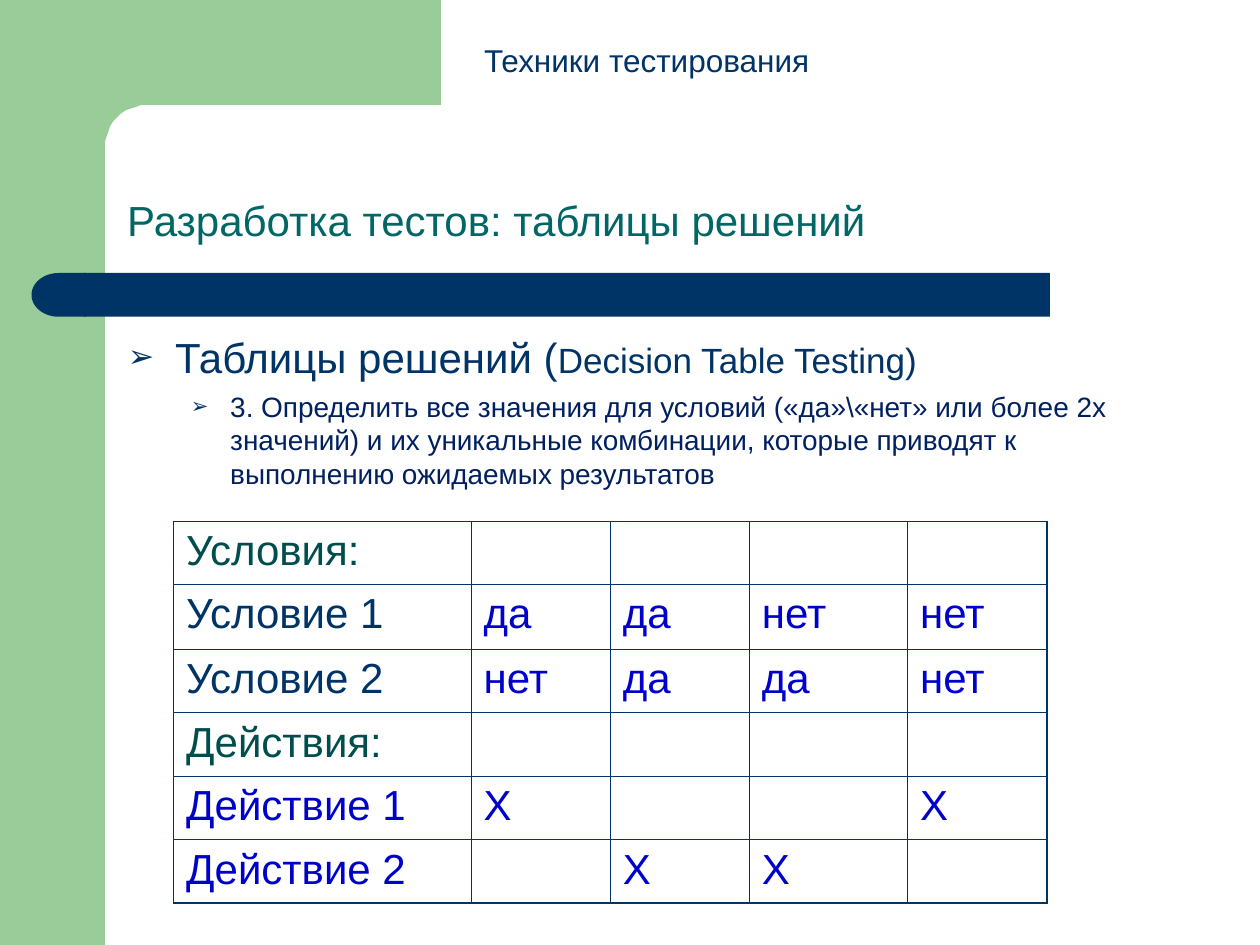
import math

from lxml import etree
from pptx import Presentation
from pptx.dml.color import RGBColor
from pptx.enum.shapes import MSO_SHAPE
from pptx.enum.text import MSO_ANCHOR, PP_ALIGN
from pptx.oxml.ns import qn
from pptx.util import Pt

RECTANGLE, DELAY = MSO_SHAPE.RECTANGLE, MSO_SHAPE.FLOWCHART_DELAY
BOTTOM, LEFT = MSO_ANCHOR.BOTTOM, PP_ALIGN.LEFT
FONT = "Arial"
COLORS = {
    "green": "99CC99",
    "navy": "003366",
    "teal": "006666",
    "dark_teal": "004D4D",
    "blue": "0000CC",
    "ink": "002060",
}


def paint(shape, color):
    """Give a shape a plain fill with no line and no shadow."""
    shape.shadow.inherit = False
    shape.fill.solid()
    shape.fill.fore_color.rgb = RGBColor.from_string(COLORS[color])
    shape.line.fill.background()


def write(paragraph, text, size, color, **paragraph_format):
    """Append a formatted run and set the paragraph's format values."""
    for name, value in paragraph_format.items():
        setattr(paragraph, name, value)
    run = paragraph.add_run()
    run.text = text
    run.font.name = FONT
    run.font.size = Pt(size)
    run.font.color.rgb = RGBColor.from_string(COLORS[color])


prs = Presentation()
prs.slide_width, prs.slide_height = Pt(720), Pt(540)
slide = prs.slides.add_slide(prs.slide_layouts[5])
shapes = slide.shapes

# Green frame with a rounded inner corner
side_width, corner_radius = 60, 24
center = side_width + corner_radius
arc = []
for step in range(13):
    angle = math.radians(90 * step / 12)
    arc.append((round(center - corner_radius * math.sin(angle), 2),
                round(center - corner_radius * math.cos(angle), 2)))
builder = shapes.build_freeform(252, 0, scale=Pt(1))
builder.add_line_segments([(252, side_width), *arc, (side_width, 92), (36, 92), (36, 0)])
paint(builder.convert_to_shape(), "green")

for kind, box, color, rotation in [
    (RECTANGLE, (0, 0, side_width, 540), "green", 0),
    (RECTANGLE, (48, 156, 552, 25), "navy", 0),
    (DELAY, (18, 156, 31, 25), "navy", 180),
]:
    block = shapes.add_shape(kind, *map(Pt, box))
    block.rotation = rotation
    paint(block, color)

# Title
title = shapes.title
title.left, title.top, title.width, title.height = map(Pt, (65.5, 65.5, 613, 78.5))
title.text_frame.vertical_anchor = BOTTOM
write(title.text_frame.paragraphs[0], "Разработка тестов: таблицы решений", 24, "teal",
      alignment=LEFT, line_spacing=0.9)

# Explanation
explanation = shapes.add_textbox(*map(Pt, (66, 186, 600.5, 311))).text_frame
explanation.word_wrap = True
heading, step_text = explanation.paragraphs[0], explanation.add_paragraph()
write(heading, "Таблицы решений (", 24, "navy", space_before=Pt(5))
write(heading, "Decision Table Testing)", 20, "navy")
write(step_text,
      "3. Определить все значения для условий («да»\\«нет» или более 2х значений) "
      "и их уникальные комбинации, которые приводят к выполнению ожидаемых результатов",
      16, "ink", level=1, space_before=Pt(4))
for paragraph, margin, hanging in [(heading, 27, 27), (step_text, 58.5, 22.5)]:
    properties = paragraph._p.get_or_add_pPr()
    properties.set("marL", str(Pt(margin)))
    properties.set("indent", str(-Pt(hanging)))
    bullet_color = etree.SubElement(properties, qn("a:buClr"))
    etree.SubElement(bullet_color, qn("a:srgbClr"), val=COLORS["navy"])
    etree.SubElement(properties, qn("a:buSzPct"), val="75000")
    etree.SubElement(properties, qn("a:buFont"), typeface=FONT)
    etree.SubElement(properties, qn("a:buChar"), char="➢")

# Section name
section = shapes.add_textbox(*map(Pt, (269.5, 20, 420, 29))).text_frame
section.word_wrap = True
write(section.paragraphs[0], "Техники тестирования", 18, "navy", space_before=Pt(11.2))

# Decision table: row label, label colour, value of each rule
decisions = [
    ("Условия:", "dark_teal", ["", "", "", ""]),
    ("Условие 1", "navy", ["да", "да", "нет", "нет"]),
    ("Условие 2", "navy", ["нет", "да", "да", "нет"]),
    ("Действия:", "dark_teal", ["", "", "", ""]),
    ("Действие 1", "blue", ["X", "", "", "X"]),
    ("Действие 2", "blue", ["", "X", "X", ""]),
]
column_widths = [170, 79.5, 79.5, 90.5, 79.5]
row_heights = [36, 37, 36.3, 36.3, 36.3, 36.3]
last_row, last_column = len(row_heights) - 1, len(column_widths) - 1
table = shapes.add_table(len(row_heights), len(column_widths), Pt(99.2), Pt(298),
                         Pt(sum(column_widths)), Pt(sum(row_heights))).table
table.first_row = table.horz_banding = False
for column, width in zip(table.columns, column_widths):
    column.width = Pt(width)
for row, height in zip(table.rows, row_heights):
    row.height = Pt(height)

for r, (label, label_color, values) in enumerate(decisions):
    for c, text in enumerate([label, *values]):
        cell = table.cell(r, c)
        cell.fill.background()
        if text:
            write(cell.text_frame.paragraphs[0], text, 24, "blue" if c else label_color,
                  space_before=Pt(6))
        outer_sides = {"lnL": c == 0, "lnR": c == last_column,
                       "lnT": r == 0, "lnB": r == last_row}
        cell_properties = cell._tc.get_or_add_tcPr()
        for position, (side, is_outer) in enumerate(outer_sides.items()):
            border = etree.Element(qn(f"a:{side}"), w=str(Pt(1.08 if is_outer else 0.45)))
            fill = etree.SubElement(border, qn("a:solidFill"))
            etree.SubElement(fill, qn("a:srgbClr"), val=COLORS["navy"])
            cell_properties.insert(position, border)

prs.save("out.pptx")
